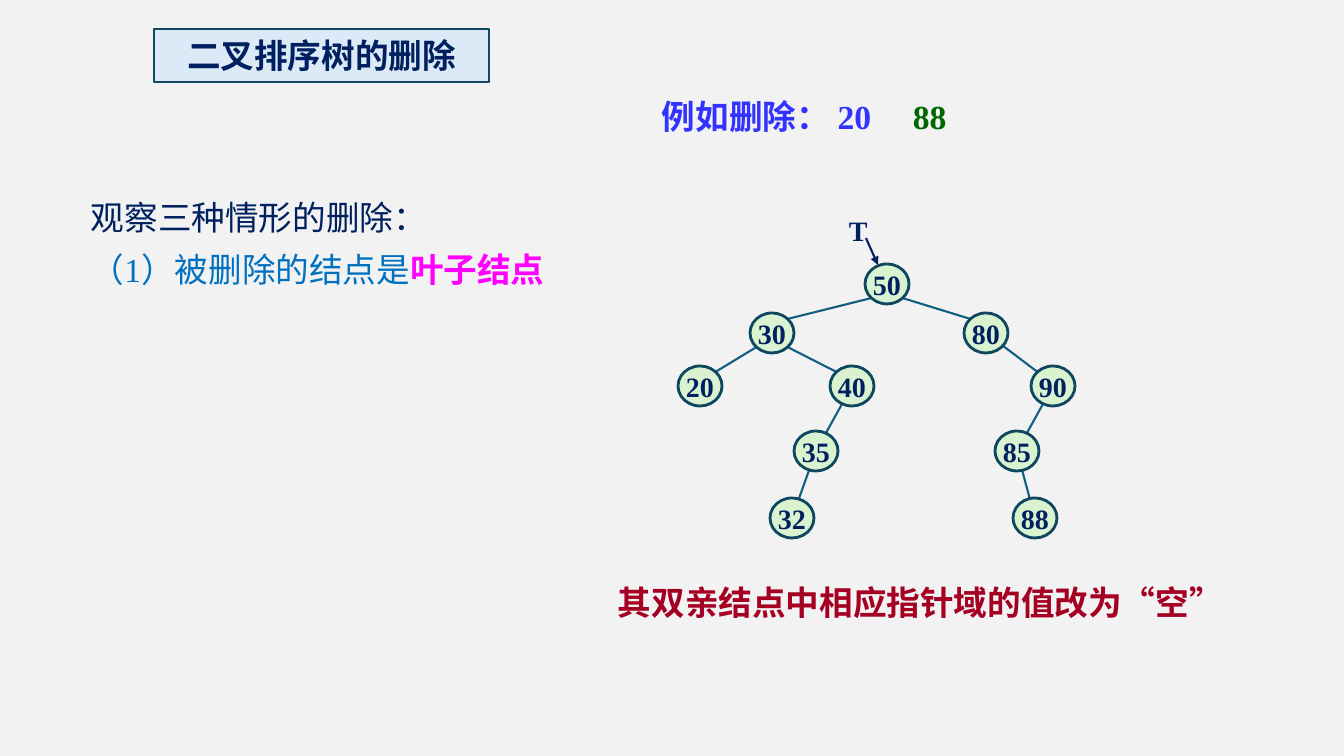
from lxml import etree
from pptx import Presentation
from pptx import util as u
from pptx.dml.color import RGBColor
from pptx.enum import shapes, text
from pptx.oxml import ns

COLORS = {
    "background": "F2F2F2", "navy": "002060", "blue": "0070C0",
    "magenta": "FF00FF", "indigo": "3333FF", "green": "006600",
    "crimson": "A50021", "node": "D9F2D0", "outline": "104760",
    "edge": "125F82", "title": "DCEAF7",
}
FONT = "Times New Roman"
PX = 914400 / 100.8
NODE_WIDTH, NODE_HEIGHT = 44, 40
CORNER = 0.35

TITLE = ("二叉排序树的删除", (154, 29, 335, 53))
CASES = [
    [("观察三种情形的删除：", "navy", False)],
    [("（1）被删除的结点是", "blue", False), ("叶子结点", "magenta", True)],
]
EXAMPLE = [[("例如删除： 20", "indigo", True)]]
SECOND_EXAMPLE = [[("88", "green", True)]]
CONCLUSION = [[("其双亲结点中相应指针域的值改为“空”", "crimson", True)]]
ROOT_LABEL = [[("T", "navy", True)]]
ROOT_ARROW = ((866, 238), (878, 265))

NODES = {
    50: (865, 264), 30: (750, 313), 20: (678, 366), 40: (830, 366),
    35: (794, 431), 32: (770, 498), 80: (964, 313), 90: (1031, 366),
    85: (995, 431), 88: (1013, 498),
}
CENTER, TOP_LEFT, TOP_RIGHT, BOTTOM_LEFT, BOTTOM_RIGHT = (
    (0, 0), (-1, -1), (1, -1), (-1, 1), (1, 1))
EDGES = [
    (50, BOTTOM_LEFT, 30, TOP_RIGHT),
    (50, BOTTOM_RIGHT, 80, TOP_LEFT),
    (30, BOTTOM_LEFT, 20, TOP_RIGHT),
    (30, BOTTOM_RIGHT, 40, TOP_LEFT),
    (80, CENTER, 90, TOP_LEFT),
    (40, CENTER, 35, CENTER),
    (35, CENTER, 32, CENTER),
    (90, CENTER, 85, CENTER),
    (85, CENTER, 88, CENTER),
]


def emu(*lengths):
    return [u.Emu(round(length * PX)) for length in lengths]


def color(name):
    return RGBColor.from_string(COLORS[name])


def apply(target, values):
    for name, value in values.items():
        setattr(target, name, value)


def write(shape, paragraphs, size=24, spacing=None, align=text.PP_ALIGN.LEFT,
          margin=None, **frame_format):
    frame = shape.text_frame
    apply(frame, {"word_wrap": False, "auto_size": text.MSO_AUTO_SIZE.NONE,
                  "vertical_anchor": text.MSO_ANCHOR.TOP, **frame_format})
    if margin is not None:
        for side in ("left", "top", "right", "bottom"):
            setattr(frame, "margin_" + side, margin)
    for index, runs in enumerate(paragraphs):
        paragraph = frame.add_paragraph() if index else frame.paragraphs[0]
        apply(paragraph, {"alignment": align, "line_spacing": spacing})
        for words, tint, bold in runs:
            run = paragraph.add_run()
            run.text = words
            apply(run.font, {"name": FONT, "size": u.Pt(size), "bold": bold})
            run.font.color.rgb = color(tint)


def paint(shape, fill, line=None):
    shape.fill.solid()
    shape.fill.fore_color.rgb = color(fill)
    if line:
        shape.line.color.rgb = color(line)
        shape.line.width = u.Pt(2)
    else:
        shape.line.fill.background()


def add_shape(kind, box, fill, line=None):
    shape = slide.shapes.add_shape(kind, *emu(*box))
    shape.shadow.inherit = False
    paint(shape, fill, line)
    return shape


def add_line(container, start, end, tint, arrow=False):
    connector = container.add_connector(
        shapes.MSO_CONNECTOR.STRAIGHT, *emu(*start, *end))
    connector.line.color.rgb = color(tint)
    connector.line.width = u.Pt(1.5)
    if arrow:
        etree.SubElement(connector.line._get_or_add_ln(),
                         ns.qn("a:tailEnd"), type="triangle")
    etree.SubElement(connector._element.spPr, ns.qn("a:effectLst"))


def anchor(node, direction):
    left, top = NODES[node]
    return (left + NODE_WIDTH * (0.5 + CORNER * direction[0]),
            top + NODE_HEIGHT * (0.5 + CORNER * direction[1]))


presentation = Presentation()
presentation.slide_width, presentation.slide_height = emu(1344, 756)
slide = presentation.slides.add_slide(presentation.slide_layouts[5])
slide.background.fill.solid()
slide.background.fill.fore_color.rgb = color("background")

centered = {"align": text.PP_ALIGN.CENTER,
            "vertical_anchor": text.MSO_ANCHOR.MIDDLE}

title_words, title_box = TITLE
title = slide.shapes.title
apply(title, dict(zip(("left", "top", "width", "height"), emu(*title_box))))
geometry = etree.SubElement(title._element.spPr, ns.qn("a:prstGeom"),
                            prst="roundRect")
etree.SubElement(geometry, ns.qn("a:avLst"))
paint(title, "title", "outline")
write(title, [[(title_words, "navy", True)]], word_wrap=True, **centered)

for parent, parent_side, child, child_side in EDGES:
    add_line(slide.shapes, anchor(parent, parent_side),
             anchor(child, child_side), "edge")

for value, position in NODES.items():
    node = add_shape(shapes.MSO_SHAPE.OVAL,
                     (*position, NODE_WIDTH, NODE_HEIGHT), "node", "outline")
    write(node, [[(str(value), "navy", True)]], size=20, margin=0, **centered)

cases = slide.shapes.add_textbox(*emu(81, 180, 479, 112))
write(cases, CASES, spacing=1.3, word_wrap=True)

example = slide.shapes.add_textbox(*emu(652, 91, 237, 50))
write(example, EXAMPLE)

second_example = add_shape(shapes.MSO_SHAPE.RECTANGLE, (903, 91, 58, 50),
                           "background")
write(second_example, SECOND_EXAMPLE)

root_pointer = slide.shapes.add_group_shape()
root_label = root_pointer.shapes.add_textbox(*emu(849, 214, 18, 42))
write(root_label, ROOT_LABEL, size=20, margin=0)
add_line(root_pointer.shapes, *ROOT_ARROW, "navy", arrow=True)

conclusion = slide.shapes.add_textbox(*emu(608, 577, 631, 50))
write(conclusion, CONCLUSION)

presentation.save("out.pptx")
